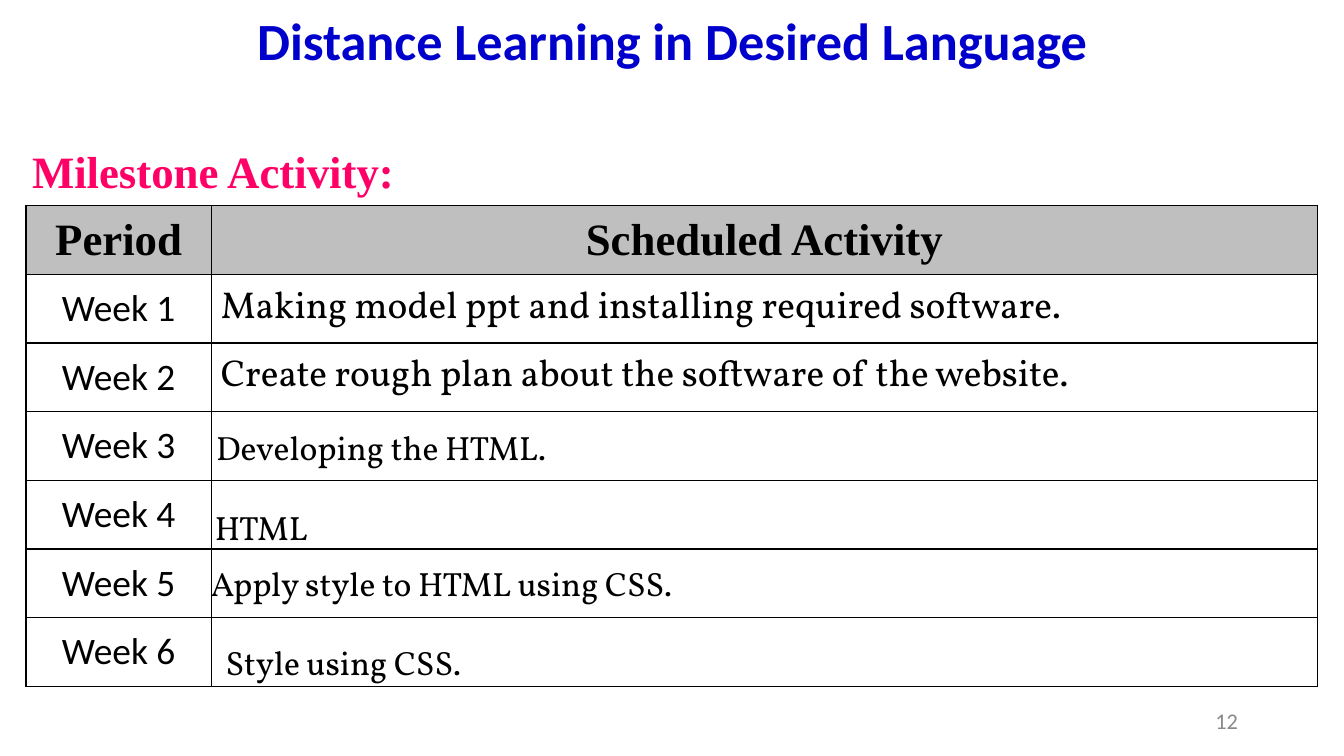
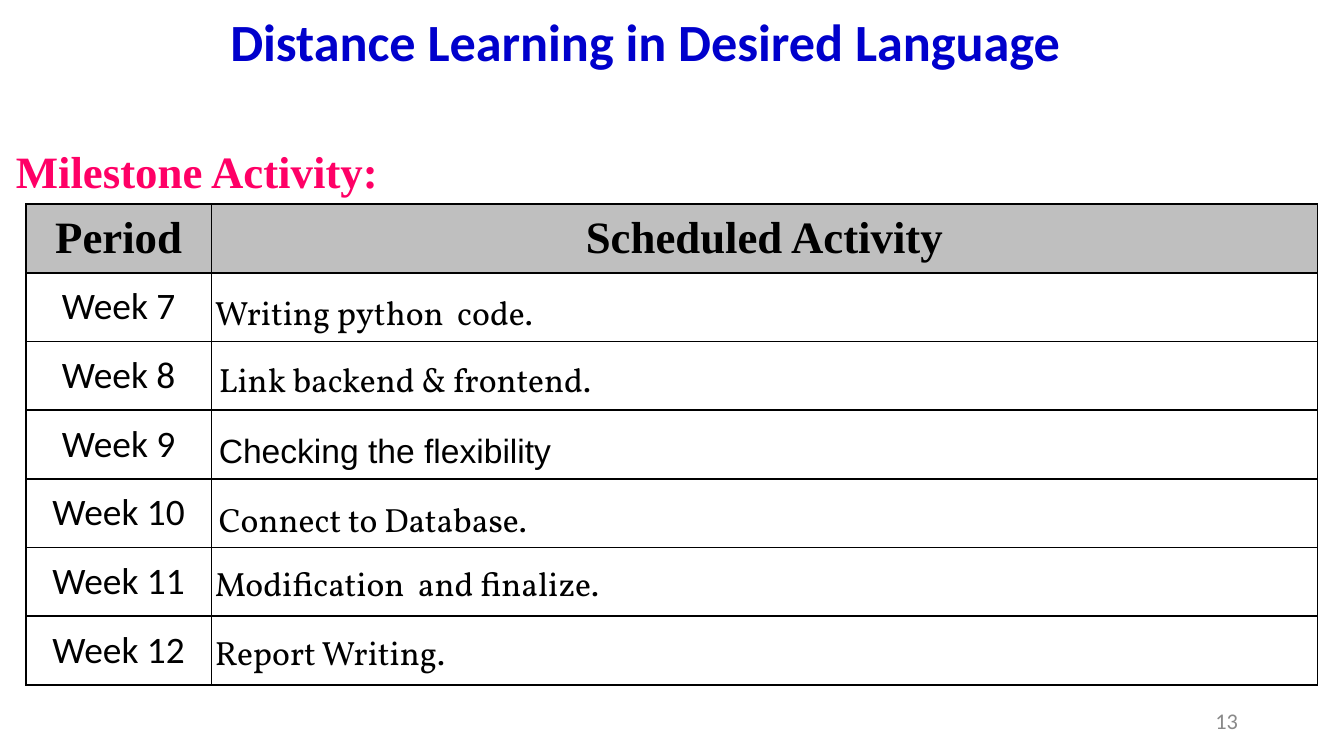
from dataclasses import dataclass

from lxml.etree import SubElement
from pptx import Presentation
from pptx.dml.color import RGBColor
from pptx.enum.text import MSO_ANCHOR as Anchor
from pptx.enum.text import MSO_AUTO_SIZE as AutoSize
from pptx.enum.text import PP_ALIGN as Align
from pptx.oxml.ns import qn
from pptx.util import Inches, Pt

# Palette
BLUE = RGBColor(0x00, 0x00, 0xCC)
PINK = RGBColor(0xFF, 0x00, 0x66)
BLACK = RGBColor(0x00, 0x00, 0x00)
WHITE = RGBColor(0xFF, 0xFF, 0xFF)
SILVER = RGBColor(0xBF, 0xBF, 0xBF)
GREY = RGBColor(0x89, 0x89, 0x89)

# Slide size and table grid; x and y below are percent of width and height
WIDTH, HEIGHT = Inches(10), Inches(5.625)
TABLE_LEFT = 1.93
COLUMNS = (13.8, 82.3)
ROW = 9.09
WEEKS_PER_SLIDE = 6


@dataclass(frozen=True)
class Style:
    font: str
    size: int
    color: RGBColor = BLACK
    bold: bool = False
    align: Align = Align.LEFT


TITLE = Style("Calibri", 28, BLUE, True, Align.CENTER)
HEADING = Style("Times New Roman", 24, PINK, True)
NUMBER = Style("Calibri", 12, GREY, align=Align.RIGHT)
HEADER = Style("Times New Roman", 24, bold=True, align=Align.CENTER)
WEEK = Style("Calibri", 20, align=Align.CENTER)
ACTIVITY = Style("Vollkorn", 20)
NOTE = Style("Vollkorn", 18)
PLAIN_NOTE = Style("Arial", 18)


@dataclass(frozen=True)
class Note:
    """Text laid over a table row; drop and height are counted in rows."""
    row: int
    text: str
    left: float
    drop: float
    width: float
    height: float = 0.78
    style: Style = NOTE


@dataclass(frozen=True)
class Schedule:
    number: int
    first_week: int
    title_left: float
    title_top: float
    heading_left: float
    table_top: float
    activities: tuple[str, ...]
    notes: tuple[Note, ...]


SCHEDULES = (
    Schedule(
        12, 1, 0, 0.2, 1.4, 27.2,
        ("Making model ppt and installing required software.",
         "Create rough plan about the software of the website."),
        (Note(3, "Developing the HTML.", 15.1, 0.13, 30),
         Note(4, "HTML", 15, 0.29, 21.7),
         Note(5, "Apply style to HTML using CSS.", 14.7, 0.11, 46.7),
         Note(6, "Style using CSS.", 15.8, 0.26, 36.7))),
    Schedule(
        13, 7, -2, 0.4, 0.2, 27, (),
        (Note(1, "Writing python  code.", 15, 0.18, 49.2, 1.39),
         Note(2, "Link backend & frontend.", 15.3, 0.15, 34.2),
         Note(3, "Checking the flexibility", 15.3, 0.19, 40.3, 1.39, PLAIN_NOTE),
         Note(4, "Connect to Database.", 15.3, 0.19, 38.3),
         Note(5, "Modification  and finalize.", 15, 0.13, 36.2),
         Note(6, "Report Writing.", 15, 0.13, 31.7))),
)


def x(share: float) -> int:
    return round(WIDTH * share / 100)


def y(share: float) -> int:
    return round(HEIGHT * share / 100)


def write(tf, text: str, style: Style) -> None:
    tf.text = text
    p = tf.paragraphs[0]
    p.alignment = style.align
    for r in p.runs:
        r.font.name = style.font
        r.font.size = Pt(style.size)
        r.font.bold = style.bold
        r.font.color.rgb = style.color


def add_text(slide, text: str, style: Style, left: float, top: float,
             width: float, height: float, grow: bool = False,
             anchor: Anchor = Anchor.TOP) -> None:
    tf = slide.shapes.add_textbox(x(left), y(top), x(width), y(height)).text_frame
    tf.word_wrap = True
    tf.auto_size = AutoSize.SHAPE_TO_FIT_TEXT if grow else AutoSize.NONE
    tf.vertical_anchor = anchor
    write(tf, text, style)


def fill_cell(cell, text: str, style: Style) -> None:
    is_header = style is HEADER
    # Borders come before the fill in the cell properties
    props = cell._tc.get_or_add_tcPr()
    for side in ("lnL", "lnR", "lnT", "lnB"):
        line = SubElement(props, qn(f"a:{side}"), w=str(Pt(1)))
        SubElement(SubElement(line, qn("a:solidFill")), qn("a:srgbClr"), val=str(BLACK))
    cell.fill.solid()
    cell.fill.fore_color.rgb = SILVER if is_header else WHITE
    cell.vertical_anchor = Anchor.MIDDLE
    cell.margin_left = cell.margin_right = Inches(0.1 if is_header else 0.07)
    cell.margin_top = cell.margin_bottom = Inches(0.05 if is_header else 0)
    if text:
        write(cell.text_frame, text, style)


def add_table(slide, plan: Schedule) -> None:
    rows = WEEKS_PER_SLIDE + 1
    table = slide.shapes.add_table(rows, len(COLUMNS), x(TABLE_LEFT), y(plan.table_top),
                                   x(sum(COLUMNS)), y(ROW * rows)).table
    table.first_row = table.horz_banding = False
    for column, width in zip(table.columns, COLUMNS):
        column.width = x(width)
    for row in table.rows:
        row.height = y(ROW)
    for i, label in enumerate(("Period", "Scheduled Activity")):
        fill_cell(table.cell(0, i), label, HEADER)
    for i in range(WEEKS_PER_SLIDE):
        activity = plan.activities[i] if i < len(plan.activities) else ""
        fill_cell(table.cell(i + 1, 0), f"Week {plan.first_week + i}", WEEK)
        fill_cell(table.cell(i + 1, 1), activity, ACTIVITY)


def add_schedule(prs, plan: Schedule) -> None:
    slide = prs.slides.add_slide(prs.slide_layouts[6])
    # Heading, slide number, table and title
    add_text(slide, "Milestone Activity:", HEADING, plan.heading_left, 18.15, 100, 9, True)
    add_text(slide, str(plan.number), NUMBER, 70.6, 92.7, 22.5, 5.3, anchor=Anchor.MIDDLE)
    add_table(slide, plan)
    add_text(slide, "Distance Learning in Desired Language", TITLE,
             plan.title_left, plan.title_top, 100, 16.7)
    # Activities laid over the table
    for note in plan.notes:
        top = plan.table_top + ROW * (note.row + note.drop)
        add_text(slide, note.text, note.style, note.left, top,
                 note.width, ROW * note.height, True)


def main() -> None:
    prs = Presentation()
    prs.slide_width, prs.slide_height = WIDTH, HEIGHT
    for plan in SCHEDULES:
        add_schedule(prs, plan)
    prs.save("out.pptx")


if __name__ == "__main__":
    main()
